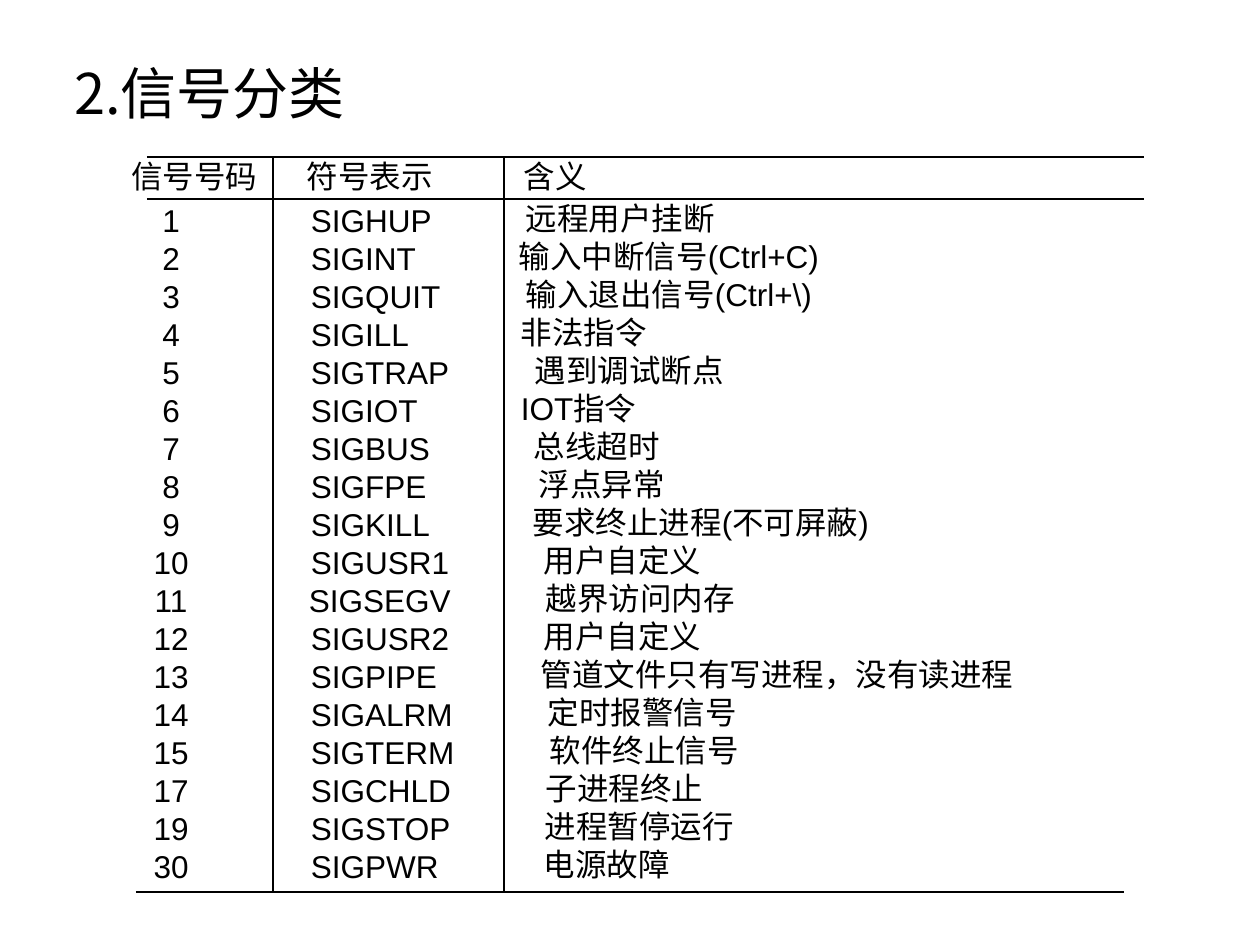
from dataclasses import dataclass

from lxml import etree
from pptx import Presentation
from pptx.dml.color import RGBColor
from pptx.enum.shapes import MSO_CONNECTOR
from pptx.enum.text import MSO_ANCHOR, PP_ALIGN
from pptx.oxml.ns import qn
from pptx.util import Emu, Pt

STRAIGHT = MSO_CONNECTOR.STRAIGHT
MIDDLE = MSO_ANCHOR.MIDDLE
LEFT = PP_ALIGN.LEFT
CENTER = PP_ALIGN.CENTER
EMU_PER_PX = 914400 / 126
TITLE_ONLY = 5
BLACK = "000000"
LATIN_FONT = "Arial"
CHINESE_FONT = "Noto Sans CJK SC"
TABLE_LEFT, TABLE_TOP = 131, 157
COLUMN_WIDTHS = (142, 231, 641)
HEADER_HEIGHT, ROW_HEIGHT = 45, 38
NUMBER_RIGHT_MARGIN = 62


@dataclass(frozen=True)
class SignalRow:
    number: str
    symbol: str
    meaning: str
    meaning_indent: int
    symbol_indent: int = 38


@dataclass(frozen=True)
class Rule:
    left: int
    top: int
    right: int
    bottom: int


ROWS = (
    SignalRow("信号号码", "符号表示", "含义", 20, 34),
    SignalRow("1", "SIGHUP", "远程用户挂断", 22),
    SignalRow("2", "SIGINT", "输入中断信号(Ctrl+C)", 15),
    SignalRow("3", "SIGQUIT", "输入退出信号(Ctrl+\\)", 22),
    SignalRow("4", "SIGILL", "非法指令", 17),
    SignalRow("5", "SIGTRAP", "遇到调试断点", 31),
    SignalRow("6", "SIGIOT", "IOT指令", 17),
    SignalRow("7", "SIGBUS", "总线超时", 30),
    SignalRow("8", "SIGFPE", "浮点异常", 35),
    SignalRow("9", "SIGKILL", "要求终止进程(不可屏蔽)", 29),
    SignalRow("10", "SIGUSR1", "用户自定义", 40),
    SignalRow("11", "SIGSEGV", "越界访问内存", 42, 36),
    SignalRow("12", "SIGUSR2", "用户自定义", 40),
    SignalRow("13", "SIGPIPE", "管道文件只有写进程，没有读进程", 37),
    SignalRow("14", "SIGALRM", "定时报警信号", 44),
    SignalRow("15", "SIGTERM", "软件终止信号", 46),
    SignalRow("17", "SIGCHLD", "子进程终止", 42),
    SignalRow("19", "SIGSTOP", "进程暂停运行", 41),
    SignalRow("30", "SIGPWR", "电源故障", 40),
)
RULES = (
    Rule(147, 157, 1144, 157),
    Rule(147, 199, 1144, 199),
    Rule(136, 892, 1124, 892),
    Rule(273, 157, 273, 892),
    Rule(504, 157, 504, 892),
)


def px(length: int) -> Emu:
    return Emu(round(length * EMU_PER_PX))


def color(value: str) -> RGBColor:
    return RGBColor.from_string(value)


def add_run(paragraph, text: str, size: int, latin_font: str) -> None:
    run = paragraph.add_run()
    run.text = text
    run.font.size = Pt(size)
    run.font.bold = False
    run.font.name = latin_font
    run.font.color.rgb = color(BLACK)
    properties = run.font._element
    etree.SubElement(properties, qn("a:ea")).set("typeface", CHINESE_FONT)


def add_title(slide, text: str) -> None:
    title = slide.shapes.title
    title.left, title.top, title.width, title.height = px(74), px(54), px(1112), px(76)
    frame = title.text_frame
    frame.margin_left = frame.margin_right = 0
    frame.margin_top = frame.margin_bottom = 0
    frame.vertical_anchor = MIDDLE
    paragraph = frame.paragraphs[0]
    paragraph.alignment = LEFT
    add_run(paragraph, text, 32, CHINESE_FONT)


def fill_cell(cell, text: str, indent: int, right_margin: int, alignment) -> None:
    cell.fill.background()
    cell.vertical_anchor = MIDDLE
    cell.margin_left, cell.margin_right = px(indent), px(right_margin)
    cell.margin_top = cell.margin_bottom = 0
    paragraph = cell.text_frame.paragraphs[0]
    paragraph.alignment = alignment
    paragraph.line_spacing = Pt(21)
    add_run(paragraph, text, 18, LATIN_FONT)


def add_signal_table(slide, rows: tuple[SignalRow, ...]) -> None:
    height = HEADER_HEIGHT + ROW_HEIGHT * (len(rows) - 1)
    table = slide.shapes.add_table(
        len(rows), len(COLUMN_WIDTHS), px(TABLE_LEFT), px(TABLE_TOP),
        px(sum(COLUMN_WIDTHS)), px(height),
    ).table
    table.first_row = False
    table.horz_banding = False
    for column, width in zip(table.columns, COLUMN_WIDTHS):
        column.width = px(width)
    for index, row in enumerate(rows):
        is_header = index == 0
        table.rows[index].height = px(HEADER_HEIGHT if is_header else ROW_HEIGHT)
        number_margin = 0 if is_header else NUMBER_RIGHT_MARGIN
        number_alignment = LEFT if is_header else CENTER
        fill_cell(table.cell(index, 0), row.number, 0, number_margin, number_alignment)
        fill_cell(table.cell(index, 1), row.symbol, row.symbol_indent, 0, LEFT)
        fill_cell(table.cell(index, 2), row.meaning, row.meaning_indent, 0, LEFT)


def add_rule(slide, rule: Rule) -> None:
    connector = slide.shapes.add_connector(
        STRAIGHT, px(rule.left), px(rule.top), px(rule.right), px(rule.bottom)
    )
    connector.line.color.rgb = color(BLACK)
    connector.line.width = Pt(1.5)
    etree.SubElement(connector._element.spPr, qn("a:effectLst"))


def main() -> None:
    presentation = Presentation()
    presentation.slide_width, presentation.slide_height = px(1260), px(945)
    slide = presentation.slides.add_slide(presentation.slide_layouts[TITLE_ONLY])
    add_title(slide, "2.信号分类")
    add_signal_table(slide, ROWS)
    for rule in RULES:
        add_rule(slide, rule)
    presentation.save("out.pptx")


if __name__ == "__main__":
    main()
